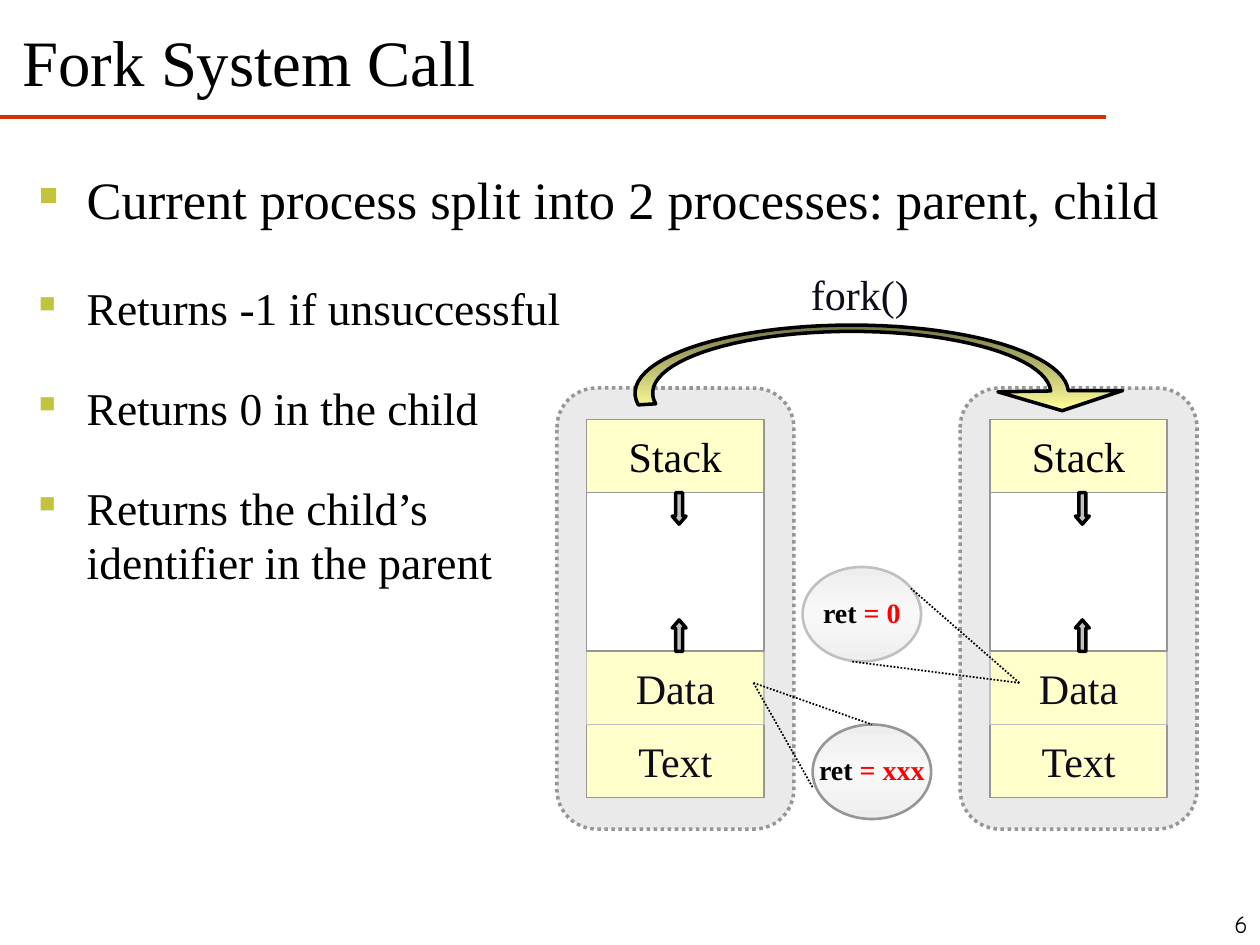
from copy import deepcopy
from dataclasses import dataclass
from math import cos, radians, sin

from pptx import Presentation
from pptx.dml.color import RGBColor
from pptx.enum.dml import MSO_LINE
from pptx.enum.shapes import MSO_CONNECTOR, MSO_SHAPE
from pptx.enum.text import MSO_ANCHOR as ANCHOR, MSO_AUTO_SIZE, PP_ALIGN as ALIGN
from pptx.oxml.ns import qn
from pptx.util import Inches, Pt


@dataclass(frozen=True)
class Theme:
    """Fonts, type sizes and colours of the slide."""
    font: str = "Times New Roman"
    number_font: str = "Comic Neue"
    title: int = 37
    lead: int = 30
    body: int = 26
    label: int = 24
    callout: int = 16
    number: int = 14
    black: str = "000000"
    ink: str = "0F0C19"
    red: str = "FF0000"
    rule: str = "CC3300"
    bullet: str = "C1C43C"
    panel: str = "EAEAEA"
    segment: str = "FFFFCC"
    white: str = "FFFFFF"
    gray: str = "969696"
    silver: str = "C0C0C0"
    bubble: tuple = ("EEEEEE", "F8F8F8", "EEEEEE")
    arrow: tuple = ("767647", "FFFF99")


T = Theme()


def rgb(value):
    """Turn a hex string into a colour."""
    return RGBColor.from_string(value)


def write(tf, *paragraphs, size=T.label, font=T.font, color=T.black, bold=False,
          align=ALIGN.CENTER, anchor=ANCHOR.MIDDLE, wrap=False, bullet=False,
          spacing=1.0, before=0, after=0):
    """Fill a text frame; a paragraph is a string or a list of (text, colour) runs."""
    tf.word_wrap, tf.vertical_anchor = wrap, anchor
    tf.auto_size = MSO_AUTO_SIZE.NONE
    for i, content in enumerate(paragraphs):
        p = tf.add_paragraph() if i else tf.paragraphs[0]
        p.alignment, p.line_spacing = align, spacing
        p.space_before, p.space_after = Pt(before), Pt(after)
        if bullet:
            add_bullet(p)
        for text, tint in [(content, color)] if isinstance(content, str) else content:
            r = p.add_run()
            r.text = text
            r.font.name, r.font.size, r.font.bold = font, Pt(size), bold
            r.font.color.rgb = rgb(tint)


def add_bullet(p):
    """Give a paragraph a small square bullet and a hanging indent."""
    pPr = p._p.get_or_add_pPr()
    indent = Inches(0.38)
    pPr.set("marL", str(indent))
    pPr.set("indent", str(-indent))
    clr = pPr.makeelement(qn("a:buClr"), {})
    clr.append(clr.makeelement(qn("a:srgbClr"), {"val": T.bullet}))
    size = pPr.makeelement(qn("a:buSzPct"), {"val": "50000"})
    pPr.extend([clr, size, pPr.makeelement(qn("a:buChar"), {"char": "■"})])


def paint(sp, fill, line, width, dash=None):
    """Set the fill, one colour or an even vertical gradient, and the outline."""
    sp.shadow.inherit = False
    if isinstance(fill, str):
        sp.fill.solid()
        sp.fill.fore_color.rgb = rgb(fill)
    else:
        sp.fill.gradient()
        sp.fill.gradient_angle = 270
        stops = sp._element.spPr.find(".//" + qn("a:gsLst"))
        for _ in fill[2:]:
            stops.append(deepcopy(stops[0]))
        for i, (stop, color) in enumerate(zip(sp.fill.gradient_stops, fill)):
            stop.position, stop.color.rgb = i / (len(fill) - 1), rgb(color)
    sp.line.color.rgb, sp.line.width = rgb(line), Pt(width)
    if dash:
        sp.line.dash_style = dash


def add_shape(s, kind, box, fill, line, width=1, dash=None):
    """Add a painted preset shape."""
    sp = s.shapes.add_shape(kind, *map(Inches, box))
    paint(sp, fill, line, width, dash)
    return sp


def add_line(s, start, end, color=T.black, width=1, dash=None):
    """Add a straight line without a shadow."""
    ln = s.shapes.add_connector(MSO_CONNECTOR.STRAIGHT, *map(Inches, start + end))
    ln.line.color.rgb, ln.line.width = rgb(color), Pt(width)
    if dash:
        ln.line.dash_style = dash
    spPr = ln._element.spPr
    spPr.append(spPr.makeelement(qn("a:effectLst"), {}))


def add_text(s, box, *paragraphs, **fmt):
    """Add a text box."""
    write(s.shapes.add_textbox(*map(Inches, box)).text_frame, *paragraphs, **fmt)


def add_title(s, box, text):
    """Place the title and the rule below it."""
    title = s.shapes.title
    title.left, title.top, title.width, title.height = map(Inches, box)
    write(title.text_frame, text, size=T.title, align=ALIGN.LEFT,
          anchor=ANCHOR.BOTTOM, wrap=True)
    add_line(s, (0, 0.93), (8.78, 0.93), T.rule, 2)


def add_process(s, box):
    """Draw a process panel with its memory segments and growth arrows."""
    x, y, w, h = box
    add_shape(s, MSO_SHAPE.ROUNDED_RECTANGLE, box, T.panel, T.gray, 2, MSO_LINE.ROUND_DOT)
    seg_h, gap_h, seg_w = 0.58, 1.26, 1.41
    left, top = x + (w - seg_w) / 2, y + 0.25
    heap = top + seg_h
    data = heap + gap_h
    segments = [("Text", data + seg_h, seg_h, T.segment, T.gray, T.ink),
                ("Data", data, seg_h, T.segment, T.silver, T.ink),
                ("Stack", top, seg_h, T.segment, T.gray, T.black),
                ("", heap, gap_h, T.white, T.gray, T.black)]
    for name, seg_y, height, fill, line, color in segments:
        sp = add_shape(s, MSO_SHAPE.RECTANGLE, (left, seg_y, seg_w, height), fill, line)
        if name:
            write(sp.text_frame, name, color=color)
    for arrow_y, turn in ((heap, 0), (data - 0.25, 180)):
        sp = add_shape(s, MSO_SHAPE.DOWN_ARROW, (left + 0.68, arrow_y, 0.11, 0.25),
                       T.silver, T.black, 2)
        sp.adjustments[1] = 0.58
        sp.rotation = turn


def add_callout(s, box, value, line, target, anchors):
    """Draw a return value bubble with two dotted lines to its data segment."""
    sp = add_shape(s, MSO_SHAPE.OVAL, box, T.bubble, line, 1.5)
    write(sp.text_frame, [("ret ", T.black), (value, T.red)], size=T.callout,
          bold=True, spacing=0.9)
    for anchor in anchors:
        add_line(s, target, anchor, dash=MSO_LINE.ROUND_DOT)


def add_fork_arrow(s, box):
    """Draw the curved arrow from parent to child and its label."""
    x, y, w, h = box
    cx, cy = x + w / 2, y + h

    def arc(rx, ry, angles):
        """List the points of an elliptic arc around the arrow centre."""
        return [(cx + rx * cos(radians(a)), cy - ry * sin(radians(a))) for a in angles]

    inner = arc(w / 2 - 0.14, h - 0.05, range(2, 191, 4))
    outer = arc(w / 2, h, range(190, 1, -4))
    head = [(8.91, 3.1), (8.43, 3.26), (7.92, 3.11)]
    points = [(Inches(px), Inches(py)) for px, py in inner + outer + head]
    fb = s.shapes.build_freeform(*points[0])
    fb.add_line_segments(points[1:], close=True)
    paint(fb.convert_to_shape(), T.arrow, T.black, 2)
    add_text(s, (6.34, 2.08, 0.97, 0.5), "fork()", color=T.ink)


def main():
    """Build and save the slide."""
    prs = Presentation()
    prs.slide_width, prs.slide_height = Inches(10), Inches(7.5)
    s = prs.slides.add_slide(prs.slide_layouts[5])
    add_title(s, (0.08, 0.19, 9.67, 0.65), "Fork System Call")
    bullets = dict(align=ALIGN.LEFT, anchor=ANCHOR.TOP, wrap=True, bullet=True)
    add_text(s, (0.21, 1.33, 9.13, 0.58),
             "Current process split into 2 processes: parent, child",
             size=T.lead, spacing=0.9, before=7.5, **bullets)
    add_text(s, (0.21, 2.17, 4.38, 4.02), "Returns -1 if unsuccessful",
             "Returns 0 in the child", "Returns the child’s identifier in the parent",
             size=T.body, before=13, after=13, **bullets)
    for left in (7.62, 4.42):
        add_process(s, (left, 3.08, 1.88, 3.5))
    add_callout(s, (6.45, 5.75, 0.94, 0.75), "= xxx", T.gray,
                (5.98, 5.42), [(6.92, 5.75), (6.45, 6.25)])
    add_callout(s, (6.37, 4.5, 0.94, 0.75), "= 0", T.silver,
                (8.09, 5.42), [(7.23, 4.67), (6.76, 5.25)])
    add_fork_arrow(s, (5.04, 2.58, 3.44, 0.54))
    add_text(s, (9.67, 7.17, 0.33, 0.33), "6", size=T.number, font=T.number_font,
             align=ALIGN.RIGHT)
    prs.save("out.pptx")


if __name__ == "__main__":
    main()
